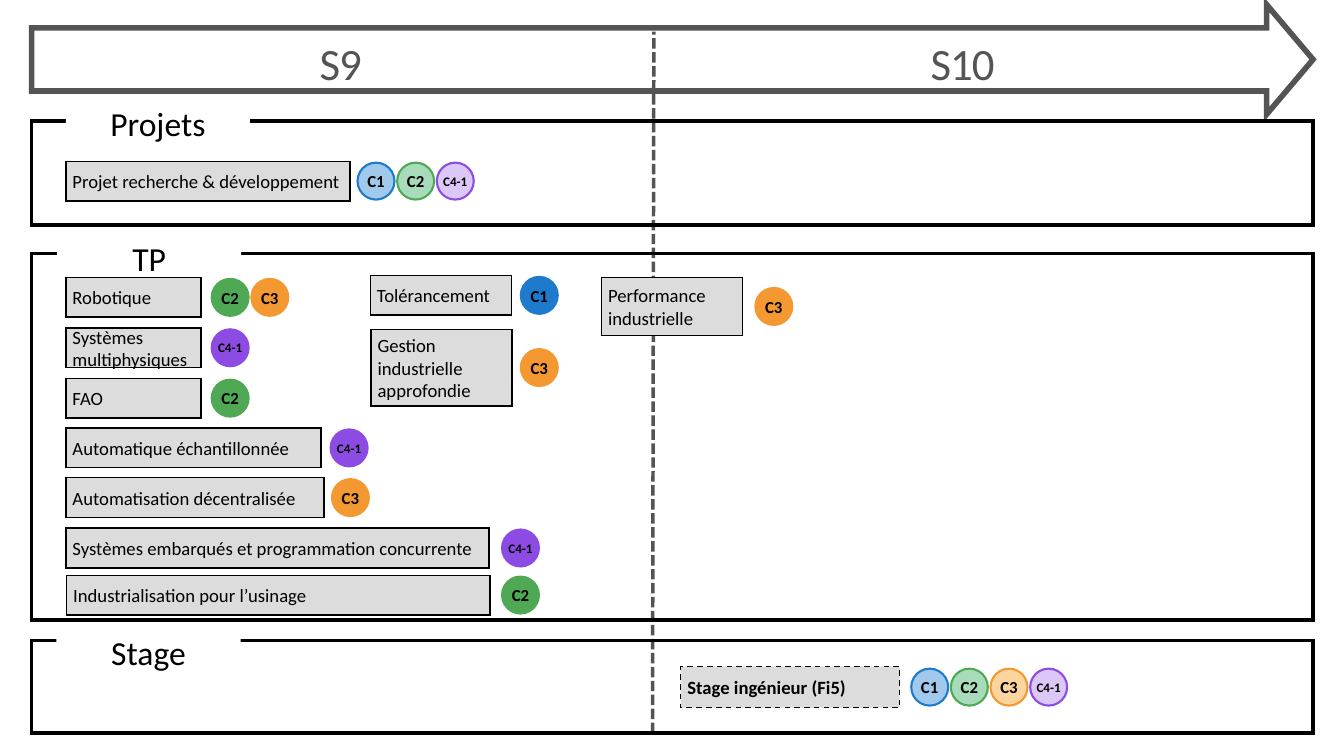
from lxml.etree import SubElement
from pptx import Presentation
from pptx.dml.color import RGBColor
from pptx.enum.dml import MSO_LINE
from pptx.enum.shapes import MSO_CONNECTOR, MSO_SHAPE
from pptx.enum.text import MSO_ANCHOR, PP_ALIGN
from pptx.oxml.ns import qn
from pptx.util import Inches, Pt

FONT = "Calibri"
BLACK, WHITE, GREY, DARK = "000000", "FFFFFF", "DDDCDC", "545454"
LEFT, WIDTH = 0.47, 19.07
BOX_LEFT, BOX_HEIGHT = 0.98, 0.59
BADGE, BADGE_STEP = 0.55, 0.59

SEMESTERS = [("S9", 0.5, 9.14), ("S10", 9.81, 9.03)]
FRAMES = [(1.8, 1.55), (3.77, 5.46), (9.53, 1.38)]
HEADINGS = [
    ("TP", 0.85, 3.49, MSO_ANCHOR.TOP),
    ("Stage", 0.84, 9.35, MSO_ANCHOR.TOP),
    ("Projets", 0.98, 1.52, MSO_ANCHOR.MIDDLE),
]
# skill: (strong colour, pale colour, pale opacity in percent, text size)
SKILLS = {
    "C1": ("1E7ACC", "A0C9EB", 100, 18),
    "C2": ("4FA954", "A8DBBA", 100, 18),
    "C3": ("F49831", "FBD49E", 100, 18),
    "C4-1": ("8C4BE2", "8C4BE2", 30, 14),
}
PROJECTS = [
    ("Projet recherche & développement",
     (BOX_LEFT, 2.4, 4.23, BOX_HEIGHT), 5.32, ["C1", "C2", "C4-1"]),
]
COURSES = [
    ("Robotique", (BOX_LEFT, 4.13, 2.01, BOX_HEIGHT), 3.15, ["C2", "C3"]),
    ("Systèmes multiphysiques", (BOX_LEFT, 4.88, 2.01, BOX_HEIGHT), 3.15, ["C4-1"]),
    ("FAO", (BOX_LEFT, 5.63, 2.01, BOX_HEIGHT), 3.15, ["C2"]),
    ("Automatique échantillonnée", (BOX_LEFT, 6.37, 3.8, BOX_HEIGHT), 4.92, ["C4-1"]),
    ("Automatisation décentralisée", (BOX_LEFT, 7.11, 3.84, BOX_HEIGHT), 4.94, ["C3"]),
    ("Systèmes embarqués et programmation concurrente",
     (BOX_LEFT, 7.86, 6.3, BOX_HEIGHT), 7.47, ["C4-1"]),
    ("Industrialisation pour l’usinage", (0.99, 8.56, 6.3, BOX_HEIGHT), 7.47, ["C2"]),
    ("Tolérancement", (5.51, 4.1, 2.1, BOX_HEIGHT), 7.75, ["C1"]),
    ("Gestion industrielle approfondie", (5.52, 4.9, 2.1, 1.14), 7.75, ["C3"]),
    ("Performance industrielle", (8.95, 4.13, 2.1, 0.86), 11.24, ["C3"]),
]
INTERNSHIPS = [
    ("Stage ingénieur (Fi5)", (10.13, 9.92, 3.26, 0.61), 13.56,
     ["C1", "C2", "C3", "C4-1"]),
]


def rgb(colour):
    """Turn a hex string into a colour."""
    return RGBColor.from_string(colour)


def draw(slide, kind, area, fill=None, line=None, weight=0, dash=None):
    """Add a flat shape with the given fill and mitred outline."""
    shape = slide.shapes.add_shape(kind, *map(Inches, area))
    shape.shadow.inherit = False
    if fill:
        shape.fill.solid()
        shape.fill.fore_color.rgb = rgb(fill)
    else:
        shape.fill.background()
    if line:
        shape.line.color.rgb = rgb(line)
        shape.line.width = Pt(weight)
        if dash:
            shape.line.dash_style = dash
        outline = shape.line._get_or_add_ln()
        SubElement(outline, qn("a:miter"), lim="800000")
    else:
        shape.line.fill.background()
    return shape


def write(shape, text, size, colour=BLACK, bold=False, align=PP_ALIGN.LEFT,
          anchor=MSO_ANCHOR.MIDDLE, inset=True):
    """Put one formatted paragraph in a shape and return it."""
    frame = shape.text_frame
    frame.word_wrap = True
    frame.vertical_anchor = anchor
    if not inset:
        frame.margin_left = frame.margin_right = 0
        frame.margin_top = frame.margin_bottom = 0
    frame.text = text
    paragraph = frame.paragraphs[0]
    paragraph.alignment = align
    font = paragraph.runs[0].font
    font.name, font.size, font.bold = FONT, Pt(size), bold
    font.color.rgb = rgb(colour)
    return paragraph


def add_badge(slide, skill, left, top, pale):
    """Draw the round badge of one skill."""
    strong, light, opacity, size = SKILLS[skill]
    badge = draw(slide, MSO_SHAPE.OVAL, (left, top, BADGE, BADGE),
                 light if pale else strong, strong, 2.25)
    if pale and opacity < 100:
        fill_colour = badge.fill._xPr.find(qn("a:solidFill"))[0]
        SubElement(fill_colour, qn("a:alpha"), val=str(opacity * 1000))
    write(badge, skill, size, bold=True, align=PP_ALIGN.CENTER, inset=False)


def add_activities(slide, activities, pale=False, bold=False, dash=None):
    """Draw labelled boxes, each followed by its centred row of badges."""
    for label, area, badge_left, skills in activities:
        box = draw(slide, MSO_SHAPE.RECTANGLE, area, GREY, BLACK, 1.5, dash)
        write(box, label, 20, bold=bold)
        badge_top = area[1] + (area[3] - BADGE) / 2
        for index, skill in enumerate(skills):
            add_badge(slide, skill, badge_left + index * BADGE_STEP, badge_top, pale)


def add_timeline(slide):
    """Draw the semester arrow, the dashed divider and the semester names."""
    arrow = draw(slide, MSO_SHAPE.RIGHT_ARROW, (LEFT, 0.07, WIDTH, 1.63),
                 line=DARK, weight=6)
    arrow.adjustments[0] = 0.94 / 1.63
    arrow.adjustments[1] = 0.69 / 1.63
    divider = slide.shapes.add_connector(
        MSO_CONNECTOR.STRAIGHT, *map(Inches, (9.71, 10.91, 9.73, 0.47)))
    divider.line.color.rgb = rgb(DARK)
    divider.line.width = Pt(3.75)
    divider.line.dash_style = MSO_LINE.SQUARE_DOT
    SubElement(divider._element.spPr, qn("a:effectLst"))
    for name, left, width in SEMESTERS:
        semester = slide.shapes.add_textbox(*map(Inches, (left, 0.46, width, 1.7)))
        paragraph = write(semester, name, 48, DARK, align=PP_ALIGN.CENTER,
                          anchor=MSO_ANCHOR.TOP, inset=False)
        paragraph.line_spacing = Pt(62.4)
        paragraph.runs[0].font._element.set("spc", "-100")


def main():
    """Build the slide and save it."""
    deck = Presentation()
    deck.slide_width, deck.slide_height = Inches(20), Inches(11.25)
    slide = deck.slides.add_slide(deck.slide_layouts[6])
    add_timeline(slide)
    for top, height in FRAMES:
        draw(slide, MSO_SHAPE.RECTANGLE, (LEFT, top, WIDTH, height),
             line=BLACK, weight=3.75)
    for heading, left, top, anchor in HEADINGS:
        label = draw(slide, MSO_SHAPE.RECTANGLE, (left, top, 2.74, 0.61), WHITE)
        write(label, heading, 36, align=PP_ALIGN.CENTER, anchor=anchor)
    add_activities(slide, PROJECTS, pale=True)
    add_activities(slide, COURSES)
    add_activities(slide, INTERNSHIPS, pale=True, bold=True, dash=MSO_LINE.DASH)
    deck.save("out.pptx")


if __name__ == "__main__":
    main()
